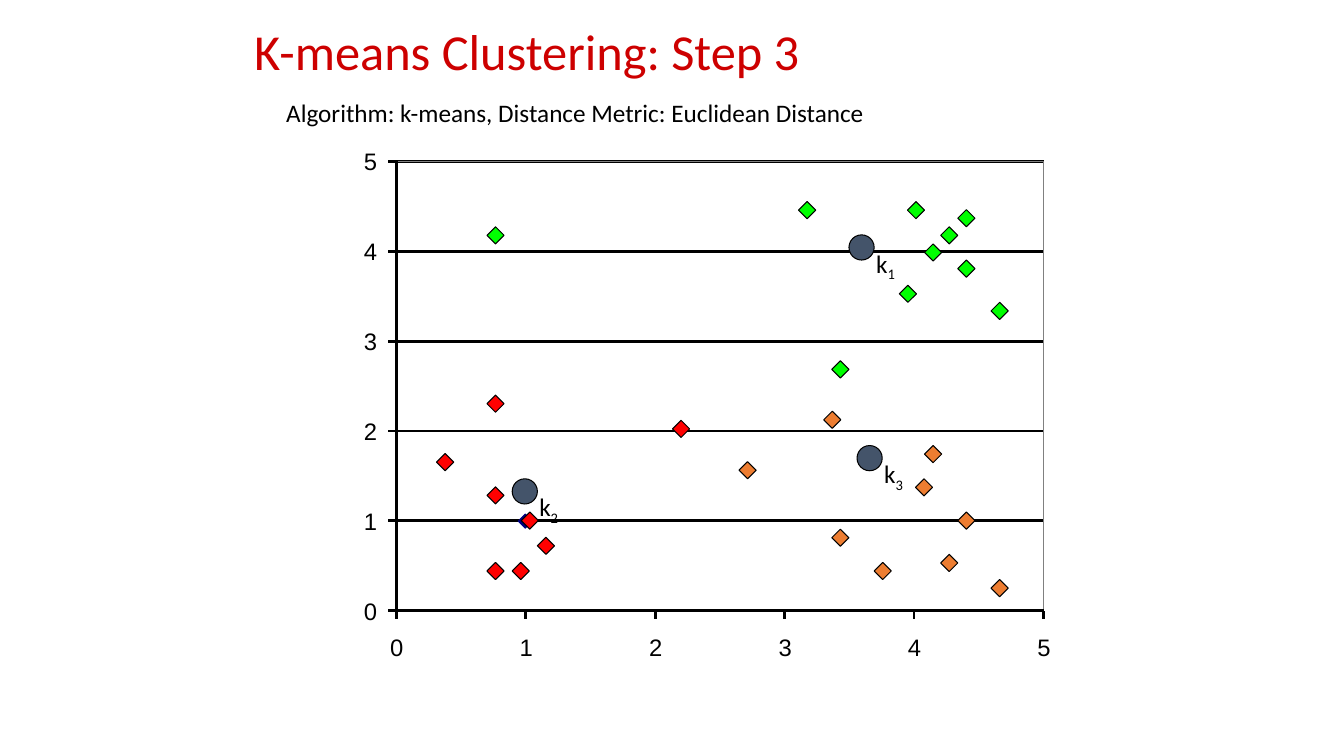
from lxml import etree
from pptx import Presentation
from pptx import util as u
from pptx.dml.color import RGBColor
from pptx.enum import shapes, text
from pptx.oxml.ns import qn

PLOT_LEFT, PLOT_TOP, PLOT_WIDTH, PLOT_HEIGHT = 3.93, 1.6, 6.42, 4.46
PLOT_RIGHT, PLOT_BOTTOM = PLOT_LEFT + PLOT_WIDTH, PLOT_TOP + PLOT_HEIGHT
AXIS_MAX = 5
TICK = 0.08
DIAMOND = 0.17
CENTROID = 0.25

# Top left corner of each point, by cluster colour
CLUSTERS = {
    "FF0000": [(5.17, 5.08), (5.33, 5.33), (5.08, 5.58), (4.83, 4.83), (4.83, 3.92),
               (4.83, 5.58), (4.33, 4.5), (6.67, 4.17)],
    "00FF00": [(4.83, 2.25), (9, 2), (9.5, 2.08), (9.33, 2.25), (9.17, 2.42), (9.5, 2.58),
               (9.83, 3), (7.92, 2), (8.25, 3.58), (8.92, 2.83)],
    "ED7D31": [(8.25, 5.25), (8.67, 5.58), (9.08, 4.75), (8.17, 4.08), (7.33, 4.58),
               (9.5, 5.08), (9.33, 5.5), (9.17, 4.42), (9.83, 5.75)],
}
CENTROIDS = {"1": (8.42, 2.33), "2": (5.08, 4.75), "3": (8.5, 4.42)}


def colour(hex_string):
    return RGBColor.from_string(hex_string)


def format_runs(paragraph, size, font, hex_string="000000"):
    for run in paragraph.runs:
        run.font.size = u.Pt(size)
        run.font.name = font
        run.font.color.rgb = colour(hex_string)


def add_shape(slide, kind, left, top, width, height, fill=None, line=None, weight=0.75):
    shape = slide.shapes.add_shape(
        kind, u.Inches(left), u.Inches(top), u.Inches(width), u.Inches(height))
    shape.shadow.inherit = False
    if fill:
        shape.fill.solid()
        shape.fill.fore_color.rgb = colour(fill)
    else:
        shape.fill.background()
    if line:
        shape.line.color.rgb = colour(line)
        shape.line.width = u.Pt(weight)
    else:
        shape.line.fill.background()


def add_hairline(slide, x1, y1, x2, y2):
    hairline = slide.shapes.add_connector(
        shapes.MSO_CONNECTOR.STRAIGHT,
        u.Inches(x1), u.Inches(y1), u.Inches(x2), u.Inches(y2))
    hairline.line.color.rgb = colour("000000")
    hairline.line.width = u.Pt(0)
    etree.SubElement(hairline._element.spPr, qn("a:effectLst"))


def add_text(slide, words, left, top, width, height, size, font, wrap=False, inset=True):
    """Add a one-line text box and return its paragraph."""
    box = slide.shapes.add_textbox(
        u.Inches(left), u.Inches(top), u.Inches(width), u.Inches(height))
    frame = box.text_frame
    frame.word_wrap = wrap
    frame.auto_size = text.MSO_AUTO_SIZE.SHAPE_TO_FIT_TEXT
    if not inset:
        frame.margin_left = frame.margin_right = frame.margin_top = frame.margin_bottom = 0
    frame.text = words
    paragraph = frame.paragraphs[0]
    format_runs(paragraph, size, font)
    return paragraph


def add_axes(slide):
    plot = (shapes.MSO_SHAPE.RECTANGLE, PLOT_LEFT, PLOT_TOP, PLOT_WIDTH, PLOT_HEIGHT)
    positions = [(value, PLOT_LEFT + value * PLOT_WIDTH / AXIS_MAX,
                  PLOT_BOTTOM - value * PLOT_HEIGHT / AXIS_MAX)
                 for value in range(AXIS_MAX + 1)]

    add_shape(slide, *plot, fill="FFFFFF")
    for _, _, y in positions[1:]:
        add_hairline(slide, PLOT_LEFT, y, PLOT_RIGHT, y)
    add_shape(slide, *plot, line="808080", weight=0.63)

    add_hairline(slide, PLOT_LEFT, PLOT_TOP, PLOT_LEFT, PLOT_BOTTOM)
    add_hairline(slide, PLOT_LEFT, PLOT_BOTTOM, PLOT_RIGHT, PLOT_BOTTOM)
    for value, x, y in positions:
        add_hairline(slide, PLOT_LEFT - TICK, y, PLOT_LEFT, y)
        add_hairline(slide, x, PLOT_BOTTOM + TICK, x, PLOT_BOTTOM)
        for left, top in ((3.61, y - 0.14), (x - 0.06, 6.28)):
            add_text(slide, str(value), left, top, 0.13, 0.29, 17, "Arial", inset=False)


def add_centroid(slide, number, left, top):
    add_shape(slide, shapes.MSO_SHAPE.OVAL, left, top, CENTROID, CENTROID, "44546A", "000000")
    label = add_text(slide, "k", left + 0.17, top + 0.08, 0.58, 0.4, 18, "Calibri", wrap=True)
    subscript = label.add_run()
    subscript.text = number
    format_runs(label, 18, "Calibri")
    subscript._r.get_or_add_rPr().set("baseline", "-25000")


def add_point(slide, left, top, fill, line="000000", size=DIAMOND):
    add_shape(slide, shapes.MSO_SHAPE.DIAMOND, left, top, size, size, fill, line)


def set_title(slide, words):
    title = slide.shapes.title
    title.left, title.top = u.Inches(2.42), u.Inches(0.25)
    title.width, title.height = u.Inches(8.5), u.Inches(0.58)
    frame = title.text_frame
    frame.text = words
    frame.word_wrap = True
    frame.auto_size = text.MSO_AUTO_SIZE.NONE
    frame.vertical_anchor = text.MSO_ANCHOR.MIDDLE
    paragraph = frame.paragraphs[0]
    paragraph.alignment = text.PP_ALIGN.LEFT
    paragraph.line_spacing = 0.9
    format_runs(paragraph, 36, "Calibri", "CD0000")


def main():
    deck = Presentation()
    deck.slide_width, deck.slide_height = u.Inches(13.33), u.Inches(7.5)
    slide = deck.slides.add_slide(deck.slide_layouts[5])

    set_title(slide, "K-means Clustering: Step 3")
    add_text(slide, "Algorithm: k-means, Distance Metric: Euclidean Distance",
             2.74, 0.92, 6.01, 0.4, 18, "Calibri")
    add_axes(slide)
    add_point(slide, 5.14, 5.1, "000080", line="000080", size=0.14)
    for number, (left, top) in CENTROIDS.items():
        add_centroid(slide, number, left, top)
    for fill, points in CLUSTERS.items():
        for left, top in points:
            add_point(slide, left, top, fill)

    deck.save("out.pptx")


if __name__ == "__main__":
    main()
